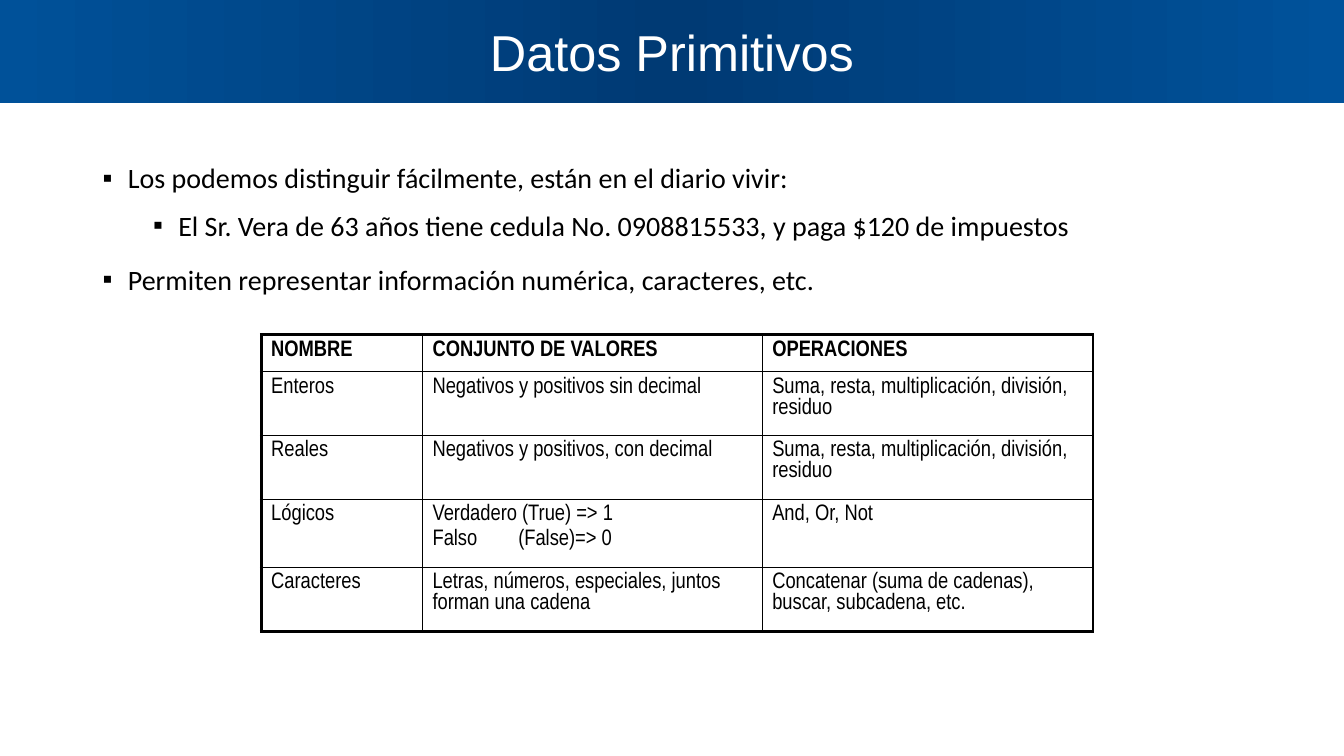
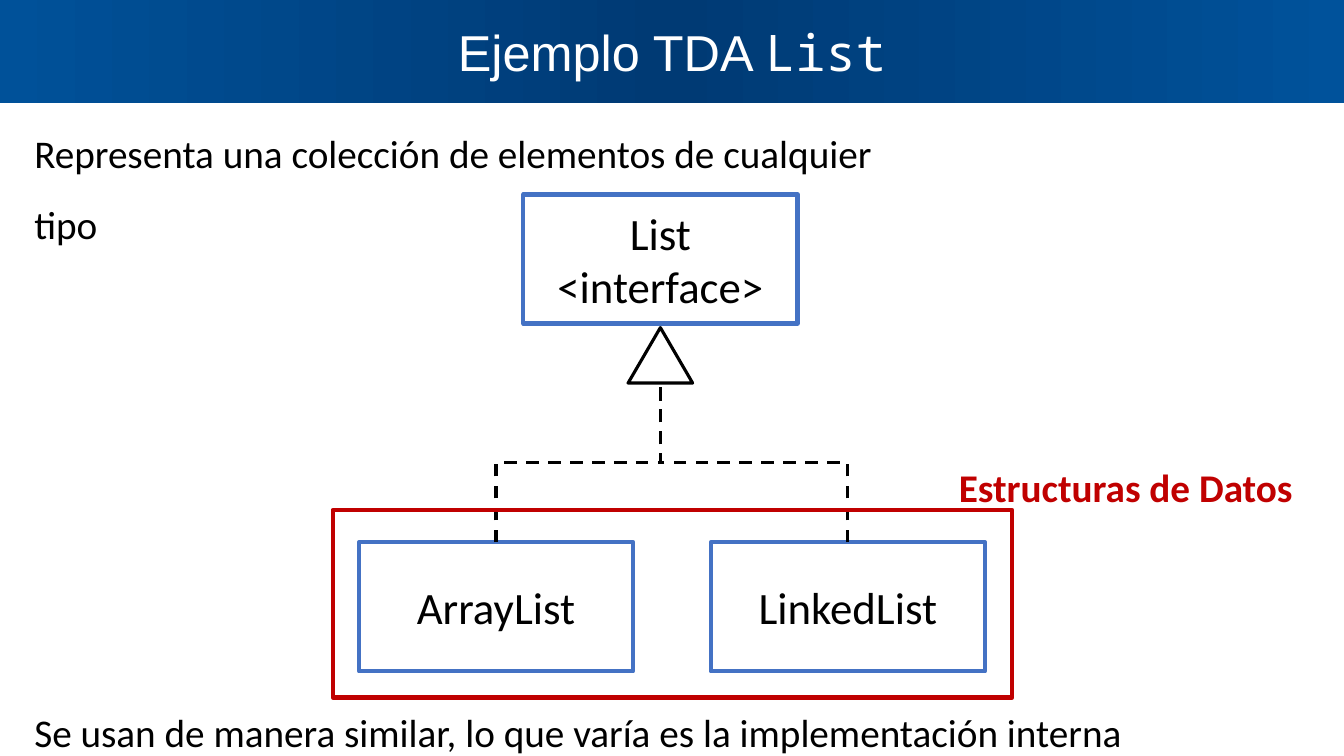
from copy import deepcopy

from pptx import Presentation
from pptx.dml.color import RGBColor
from pptx.enum.dml import MSO_LINE
from pptx.enum.shapes import MSO_CONNECTOR, MSO_SHAPE
from pptx.enum.text import MSO_ANCHOR, PP_ALIGN
from pptx.oxml.ns import qn
from pptx.util import Inches, Pt
from lxml import etree

RECTANGLE, TRIANGLE = MSO_SHAPE.RECTANGLE, MSO_SHAPE.ISOSCELES_TRIANGLE
ELBOW, DASH = MSO_CONNECTOR.ELBOW, MSO_LINE.DASH
CENTER, LEFT = PP_ALIGN.CENTER, PP_ALIGN.LEFT
MIDDLE = MSO_ANCHOR.MIDDLE

BLACK = RGBColor(0x00, 0x00, 0x00)
WHITE = RGBColor(0xFF, 0xFF, 0xFF)
BLUE = RGBColor(0x44, 0x72, 0xC4)
RED = RGBColor(0xC0, 0x00, 0x00)
BAND_STOPS = (
    (0, RGBColor(0x00, 0x52, 0x9B)),
    (0.5, RGBColor(0x00, 0x3A, 0x74)),
    (1, RGBColor(0x00, 0x51, 0x99)),
)
HEADING, BODY, NARROW, MONO = "Arial", "Calibri", "Arial Narrow", "Noto Sans Mono"
SLIDE_WIDTH, SLIDE_HEIGHT, BAND_HEIGHT = 13.33, 7.5, 1.02

BULLETS = (
    (0, "Los podemos distinguir fácilmente, están en el diario vivir:"),
    (1, "El Sr. Vera de 63 años tiene cedula No. 0908815533, y paga $120 de impuestos"),
    (0, "Permiten representar información numérica, caracteres, etc."),
)
ARITHMETIC = "Suma, resta, multiplicación, división, residuo"
TYPE_ROWS = (
    ("NOMBRE", "CONJUNTO DE VALORES", "OPERACIONES"),
    ("Enteros", "Negativos y positivos sin decimal", ARITHMETIC),
    ("Reales", "Negativos y positivos, con decimal", ARITHMETIC),
    ("Lógicos", "Verdadero (True) => 1\nFalso\t(False)=> 0", "And, Or, Not"),
    (
        "Caracteres",
        "Letras, números, especiales, juntos forman una cadena",
        "Concatenar (suma de cadenas), buscar, subcadena, etc.",
    ),
)
COLUMN_WIDTHS = (1.6, 3.37, 3.28)
ROW_HEIGHTS = (0.35, 0.42, 0.38, 0.38, 0.61)


def add_span(para, text, size, font, color, bold=False):
    """Add one formatted run to a paragraph."""
    span = para.add_run()
    span.text = text
    span.font.size = Pt(size)
    span.font.name = font
    span.font.color.rgb = color
    span.font.bold = bold


def next_para(frame, index):
    """Return the first paragraph of a frame, or a new one after it."""
    return frame.add_paragraph() if index else frame.paragraphs[0]


def add_box(page, box, kind=RECTANGLE, fill=None, line=None, width=3):
    """Add a preset shape with a plain fill and outline."""
    shape = page.shapes.add_shape(kind, *map(Inches, box))
    shape.shadow.inherit = False
    if fill is None:
        shape.fill.background()
    else:
        shape.fill.solid()
        shape.fill.fore_color.rgb = fill
    if line is None:
        shape.line.fill.background()
    else:
        shape.line.color.rgb = line
        shape.line.width = Pt(width)
    shape.text_frame.word_wrap = True
    shape.text_frame.vertical_anchor = MIDDLE
    return shape


def add_title_band(page, spans):
    """Draw the gradient band with its centred title."""
    band = add_box(page, (0, 0, SLIDE_WIDTH, BAND_HEIGHT))
    band.fill.gradient()
    band.fill.gradient_angle = 180
    stops = band._element.spPr.find(".//" + qn("a:gsLst"))
    stops.append(deepcopy(stops[0]))
    for stop, (position, color) in zip(band.fill.gradient_stops, BAND_STOPS):
        stop.position = position
        stop.color.rgb = color
    para = band.text_frame.paragraphs[0]
    para.alignment = CENTER
    for text, font in spans:
        add_span(para, text, 36, font, WHITE)


def add_bullet(para, level):
    """Give a paragraph a square bullet with a hanging indent."""
    props = para._p.get_or_add_pPr()
    props.set("marL", str(Inches(0.25 + 0.5 * level)))
    props.set("indent", str(Inches(-0.25)))
    etree.SubElement(props, qn("a:buFont")).set("typeface", HEADING)
    etree.SubElement(props, qn("a:buChar")).set("char", "▪")


def add_bullet_list(page, box, items):
    """Place a two-level bullet list."""
    frame = page.shapes.add_textbox(*map(Inches, box)).text_frame
    frame.word_wrap = True
    for index, (level, text) in enumerate(items):
        para = next_para(frame, index)
        add_bullet(para, level)
        para.level = level
        para.line_spacing = 1.2
        if index:
            para.space_before = Pt(5 if level else 10)
        add_span(para, text, 20, BODY, BLACK)


def add_border(cell, side, width):
    """Draw one black edge of a table cell."""
    edge = etree.SubElement(cell._tc.get_or_add_tcPr(), qn("a:ln" + side))
    edge.set("w", str(Pt(width)))
    fill = etree.SubElement(edge, qn("a:solidFill"))
    etree.SubElement(fill, qn("a:srgbClr")).set("val", str(BLACK))


def fill_cell(cell, text, bold):
    """Write the lines of a cell, aligning tabbed parts on one stop."""
    for index, line in enumerate(text.split("\n")):
        para = next_para(cell.text_frame, index)
        if index:
            para.space_before = Pt(3)
        if "\t" in line:
            tabs = etree.SubElement(para._p.get_or_add_pPr(), qn("a:tabLst"))
            stop = etree.SubElement(tabs, qn("a:tab"))
            stop.set("pos", str(Inches(0.85)))
            stop.set("algn", "l")
        add_span(para, line, 16, NARROW, BLACK, bold)


def add_type_table(page, left, top):
    """Place the table of primitive types with a heavy outer frame."""
    last_row, last_column = len(ROW_HEIGHTS) - 1, len(COLUMN_WIDTHS) - 1
    table = page.shapes.add_table(
        len(ROW_HEIGHTS), len(COLUMN_WIDTHS), Inches(left), Inches(top),
        Inches(sum(COLUMN_WIDTHS)), Inches(sum(ROW_HEIGHTS)),
    ).table
    table.first_row = table.horz_banding = False
    for column, width in zip(table.columns, COLUMN_WIDTHS):
        column.width = Inches(width)
    for r, (row, height) in enumerate(zip(table.rows, ROW_HEIGHTS)):
        row.height = Inches(height)
        for c, cell in enumerate(row.cells):
            outer = {"L": c == 0, "R": c == last_column, "T": r == 0, "B": r == last_row}
            for side, heavy in outer.items():
                add_border(cell, side, 2.25 if heavy else 1)
            cell.fill.background()
            fill_cell(cell, TYPE_ROWS[r][c], r == 0)


def add_class_box(page, center, top, lines):
    """Draw a class box centred on an axis."""
    width, height = 2.72, 1.28
    shape = add_box(page, (center - width / 2, top, width, height), fill=WHITE, line=BLUE)
    for index, line in enumerate(lines):
        para = next_para(shape.text_frame, index)
        para.alignment = CENTER
        add_span(para, line, 32, BODY, BLACK)


def add_inheritance_line(page, child, parent):
    """Draw a dashed elbow that leaves the child upwards and reaches the parent."""
    (x1, y1), (x2, y2) = child, parent
    middle_x, middle_y = (x1 + x2) / 2, (y1 + y2) / 2
    reach, drop = (x1 - x2) / 2, (y1 - y2) / 2
    ends = (middle_x - drop, middle_y + reach, middle_x + drop, middle_y - reach)
    line = page.shapes.add_connector(ELBOW, *map(Inches, ends))
    line.line.color.rgb = BLACK
    line.line.width = Pt(2.25)
    line.line.dash_style = DASH
    props = line._element.spPr
    props.find(qn("a:xfrm")).set("rot", str(270 * 60000))
    etree.SubElement(props, qn("a:effectLst"))


def add_class_diagram(page, left, top):
    """Draw the interface, its two classes and the links between them."""
    axis, children_top, tip = left + 2.99, top + 3.45, top + 1.32
    centers = (left + 1.36, left + 4.85)
    add_class_box(page, axis, top, ("List", "<interface>"))
    for center, name in zip(centers, ("ArrayList", "LinkedList")):
        add_class_box(page, center, children_top, (name,))
    add_box(page, (axis - 0.32, tip, 0.64, 0.55), TRIANGLE, WHITE, BLACK, 2.25)
    for center in centers:
        add_inheritance_line(page, (center, children_top), (axis, tip + 0.55))


def add_statement(page, box, text, color=BLACK, bold=False):
    """Place a line of large text without margins."""
    frame = page.shapes.add_textbox(*map(Inches, box)).text_frame
    frame.word_wrap = True
    frame.margin_left = frame.margin_top = frame.margin_right = frame.margin_bottom = 0
    para = frame.paragraphs[0]
    para.alignment = LEFT
    para.line_spacing = 1.5
    add_span(para, text, 28, BODY, color, bold)


def build_primitives(page):
    """Build the slide on primitive data."""
    add_bullet_list(page, (0.92, 1.48, 11.5, 4.76), BULLETS)
    add_type_table(page, 2.59, 3.32)
    add_title_band(page, (("Datos Primitivos", HEADING),))


def build_list_example(page):
    """Build the slide on the List type."""
    add_title_band(page, (("Ejemplo TDA ", HEADING), ("List", MONO)))
    add_class_diagram(page, 3.56, 1.93)
    add_statement(page, (0.34, 1.05, 8.98, 0.63),
                  "Representa una colección de elementos de cualquier tipo")
    add_statement(page, (0.34, 6.79, 12.4, 0.63),
                  "Se usan de manera similar, lo que varía es la implementación interna")
    add_box(page, (3.3, 5.06, 6.74, 1.86), line=RED)
    add_statement(page, (9.51, 4.36, 3.42, 0.63), "Estructuras de Datos", RED, True)


def main():
    """Build and save the deck."""
    deck = Presentation()
    deck.slide_width, deck.slide_height = Inches(SLIDE_WIDTH), Inches(SLIDE_HEIGHT)
    for build in (build_primitives, build_list_example):
        build(deck.slides.add_slide(deck.slide_layouts[6]))
    deck.save("out.pptx")


if __name__ == "__main__":
    main()
